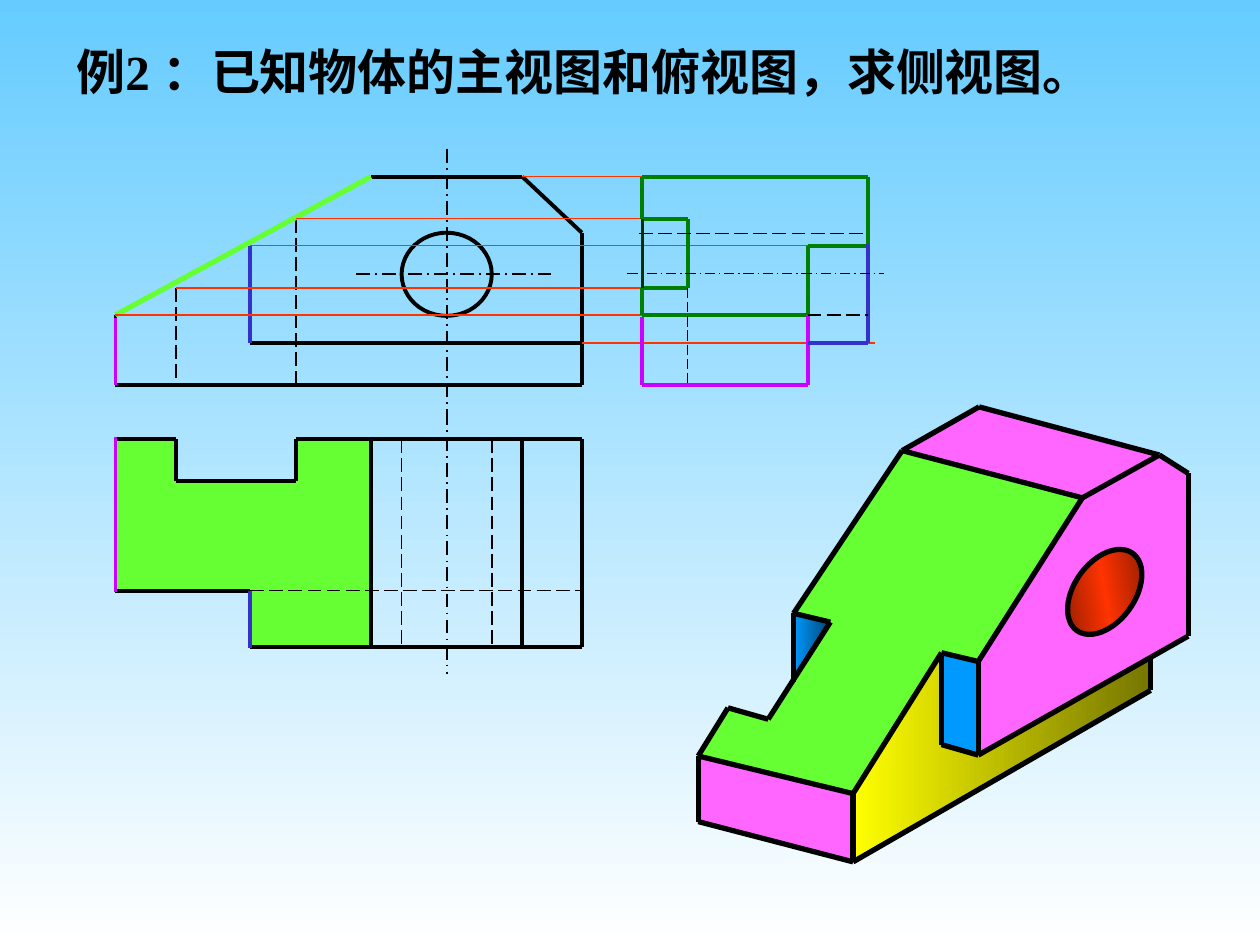
from copy import deepcopy
from dataclasses import dataclass
from itertools import pairwise
from typing import Any

from lxml.etree import SubElement
from pptx import Presentation
from pptx.dml.color import RGBColor
from pptx.enum.dml import MSO_LINE
from pptx.enum.shapes import MSO_CONNECTOR, MSO_SHAPE
from pptx.enum.text import MSO_ANCHOR, MSO_AUTO_SIZE, PP_ALIGN
from pptx.oxml.ns import qn
from pptx.util import Pt


@dataclass(frozen=True)
class Stroke:
    color: str
    width: float
    dash: Any = None


class Theme:
    font = "Times New Roman"
    title_size = 28
    ink = "000000"
    sky = ("66CCFF", "FFFFFF")
    green, pink, blue = "66FF33", "FF66FF", "0099FF"
    blue_shade = ("0099FF", "004776")
    yellow_shade = ("FFFF00", "767600")
    hole_shade = ("761800", "FF3300", "761800")
    outline = Stroke(ink, 2.25)
    solid_edge = Stroke(ink, 3)
    hidden = Stroke(ink, 1, MSO_LINE.LONG_DASH)
    thin_hidden = Stroke(ink, 0.75, MSO_LINE.LONG_DASH)
    axis = Stroke(ink, 1, MSO_LINE.LONG_DASH_DOT)
    thin_axis = Stroke(ink, 0.75, MSO_LINE.LONG_DASH_DOT)
    projection = Stroke("FF3300", 0.75)
    slope = Stroke(green, 3)
    side_outline = Stroke("008000", 2.25)
    slot_edge = Stroke("003300", 1.5)
    purple_edge = Stroke("CC00FF", 2.25)
    blue_edge = Stroke("3333CC", 2.25)


LEFT, SLOT_NEAR, STEP, SLOT_FAR, RIDGE = 0, 34.5, 77, 103, 146
HOLE_LEFT, HOLE_AXIS, HOLE_RIGHT, BEVEL, RIGHT = 163.5, 189.5, 215, 232.5, 266.5
TOP, SLOT_HIGH, BEVEL_LOW, STEP_HIGH, HOLE_LEVEL = 0, 24, 32, 39.5, 55.5
SLOT_LOW, FRONT_HIGH, STEP_LOW, BOTTOM = 63.5, 79, 95, 119
BACK, SLOT_DEPTH, BODY_DEPTH, FULL_DEPTH = 0, 24, 86.5, 118.5
SIDE_BACK, SIDE_SLOT, SIDE_BODY, SIDE_FRONT = 0, 26, 94.5, 129

VERTICES = {
    "front top left": (3, 202), "front bottom left": (3, 239.5),
    "front top right": (91.5, 223.5), "front bottom right": (91.5, 262.5),
    "slot near": (20, 174.5), "slot inner near": (43, 181),
    "slot inner far": (78.5, 125.5), "slot far": (57.5, 120.5),
    "slot bottom": (57.5, 159.5),
    "ridge left": (119.5, 27.5), "ridge right": (222.5, 54.5),
    "back left": (163.5, 2.5), "back right": (266.5, 30),
    "bevel low": (283, 40.5), "side low": (283, 133.5),
    "step top": (163, 148), "step bottom": (163, 201.5),
    "recess top": (142, 143), "recess bottom": (142, 195.5),
    "base top": (261.5, 146.5), "base bottom": (261.5, 164.5),
}
SIDE_FACE = ["ridge right", "back right", "bevel low", "side low", "step bottom", "step top"]
TOP_FACE = ["ridge left", "back left", "back right", "ridge right"]
RECESS_FACE = ["recess top", "recess bottom", "step bottom", "step top"]
SLOT_FACE = ["slot far", "slot inner far", "slot bottom"]
FRONT_FACE = ["front top left", "front bottom left", "front bottom right", "front top right"]
BASE_FACE = ["front top right", "front bottom right", "base bottom", "base top",
             "step bottom", "recess bottom", "recess top"]
SLOPE_FACE = ["ridge left", "ridge right", "step top", "recess top", "front top right",
              "front top left", "slot near", "slot inner near", "slot inner far", "slot far"]
FACES = [(SIDE_FACE, Theme.pink), (TOP_FACE, Theme.pink), (RECESS_FACE, Theme.blue),
         (SLOT_FACE, Theme.blue_shade), (FRONT_FACE, Theme.pink),
         (BASE_FACE, Theme.yellow_shade), (SLOPE_FACE, Theme.green)]
EDGES = [FRONT_FACE, SLOPE_FACE + SLOPE_FACE[:1], TOP_FACE, SIDE_FACE[1:], RECESS_FACE[:3],
         ["slot far", "slot bottom"], ["front bottom right", "base bottom", "base top"]]


def paint(fill, color, angle=0):
    if isinstance(color, str):
        fill.solid()
        fill.fore_color.rgb = RGBColor.from_string(color)
        return
    fill.gradient()
    fill.gradient_angle = (360 - angle) % 360
    stop_list = fill.gradient_stops[0]._gs.getparent()
    for _ in color[2:]:
        stop_list.append(deepcopy(stop_list[-1]))
    for index, (stop, value) in enumerate(zip(fill.gradient_stops, color)):
        stop.color.rgb = RGBColor.from_string(value)
        stop.position = index / (len(color) - 1)


def apply_stroke(line, stroke):
    line.color.rgb = RGBColor.from_string(stroke.color)
    line.width = Pt(stroke.width)
    if stroke.dash:
        line.dash_style = stroke.dash


@dataclass
class Box:
    shapes: Any
    left: float
    top: float

    def place(self, x, y):
        return Pt(self.left + x), Pt(self.top + y)

    def lines(self, stroke, *points):
        for start, end in pairwise(points):
            connector = self.shapes.add_connector(
                MSO_CONNECTOR.STRAIGHT, *self.place(*start), *self.place(*end))
            apply_stroke(connector.line, stroke)
            SubElement(connector._element.spPr, qn("a:effectLst"))

    def polygon(self, color, points):
        start, *others = [self.place(*point) for point in points]
        builder = self.shapes.build_freeform(*start)
        builder.add_line_segments(others, close=True)
        shape = builder.convert_to_shape()
        shape.shadow.inherit = False
        paint(shape.fill, color)
        shape.line.fill.background()

    def ellipse(self, stroke, x, y, width, height):
        shape = self.shapes.add_shape(
            MSO_SHAPE.OVAL, *self.place(x, y), Pt(width), Pt(height))
        shape.shadow.inherit = False
        shape.fill.background()
        apply_stroke(shape.line, stroke)
        return shape


def draw_title(title, left, top, width, height):
    title.left, title.top, title.width, title.height = map(Pt, (left, top, width, height))
    frame = title.text_frame
    frame.text = "例2 ：已知物体的主视图和俯视图，求侧视图。"
    frame.word_wrap = False
    frame.auto_size = MSO_AUTO_SIZE.NONE
    frame.vertical_anchor = MSO_ANCHOR.MIDDLE
    paragraph = frame.paragraphs[0]
    paragraph.alignment = PP_ALIGN.LEFT
    font = paragraph.font
    font.name, font.size, font.bold = Theme.font, Pt(Theme.title_size), True
    font.color.rgb = RGBColor.from_string(Theme.ink)


def draw_front_view(box):
    box.lines(Theme.outline, (RIDGE, TOP), (BEVEL, TOP), (RIGHT, BEVEL_LOW),
              (RIGHT, BOTTOM), (LEFT, BOTTOM), (LEFT, FRONT_HIGH))
    box.lines(Theme.outline, (STEP, STEP_LOW), (RIGHT, STEP_LOW))
    box.ellipse(Theme.outline, HOLE_LEFT, BEVEL_LOW, HOLE_RIGHT - HOLE_LEFT, 47.5)
    box.lines(Theme.axis, (HOLE_AXIS, -16), (HOLE_AXIS, 142.5))
    box.lines(Theme.axis, (137.5, HOLE_LEVEL), (249, HOLE_LEVEL))
    box.lines(Theme.hidden, (SLOT_FAR, SLOT_HIGH), (SLOT_FAR, BOTTOM))
    box.lines(Theme.hidden, (SLOT_NEAR, SLOT_LOW), (SLOT_NEAR, BOTTOM))
    box.lines(Theme.slope, (RIDGE, TOP), (LEFT, FRONT_HIGH))
    box.lines(Theme.blue_edge, (STEP, STEP_HIGH), (STEP, STEP_LOW))
    box.lines(Theme.purple_edge, (LEFT, FRONT_HIGH + 2), (LEFT, BOTTOM))


def draw_top_view(box):
    slot = [(LEFT, BACK), (SLOT_NEAR, BACK), (SLOT_NEAR, SLOT_DEPTH),
            (SLOT_FAR, SLOT_DEPTH), (SLOT_FAR, BACK)]
    step = [(STEP, FULL_DEPTH), (STEP, BODY_DEPTH), (LEFT, BODY_DEPTH)]
    box.polygon(Theme.green, slot + [(RIDGE, BACK), (RIDGE, FULL_DEPTH)] + step)
    box.lines(Theme.outline, *slot, (RIGHT, BACK), (RIGHT, FULL_DEPTH), *step)
    for x, stroke in ((RIDGE, Theme.outline), (BEVEL, Theme.outline),
                      (HOLE_LEFT, Theme.hidden), (HOLE_RIGHT, Theme.hidden)):
        box.lines(stroke, (x, BACK), (x, FULL_DEPTH))
    box.lines(Theme.hidden, (STEP, BODY_DEPTH), (RIGHT, BODY_DEPTH))
    box.lines(Theme.axis, (HOLE_AXIS, -16), (HOLE_AXIS, 134))
    box.lines(Theme.blue_edge, (STEP, BODY_DEPTH), (STEP, FULL_DEPTH + 1))
    box.lines(Theme.purple_edge, (LEFT, BACK - 1), (LEFT, BODY_DEPTH + 1))


def draw_projections(box, side_offset):
    for start, end, y in ((BEVEL, SIDE_FRONT, TOP), (SLOT_FAR, SIDE_SLOT, SLOT_HIGH),
                          (STEP, SIDE_FRONT, STEP_HIGH), (SLOT_NEAR, SIDE_SLOT, SLOT_LOW),
                          (LEFT, SIDE_BODY, FRONT_HIGH), (RIGHT, SIDE_FRONT + 4, STEP_LOW)):
        box.lines(Theme.projection, (start, y), (side_offset + end, y))


def draw_side_view(box):
    box.lines(Theme.side_outline, (SIDE_FRONT, STEP_HIGH), (SIDE_FRONT, TOP),
              (SIDE_BACK, TOP), (SIDE_BACK, SLOT_HIGH), (SIDE_SLOT, SLOT_HIGH),
              (SIDE_SLOT, SLOT_LOW), (SIDE_BACK, SLOT_LOW), (SIDE_BACK, FRONT_HIGH),
              (SIDE_BODY, FRONT_HIGH), (SIDE_BODY, STEP_HIGH), (SIDE_FRONT, STEP_HIGH))
    box.lines(Theme.purple_edge, (SIDE_BACK, FRONT_HIGH + 1), (SIDE_BACK, BOTTOM),
              (SIDE_BODY, BOTTOM), (SIDE_BODY, FRONT_HIGH))
    box.lines(Theme.blue_edge, (SIDE_FRONT, STEP_HIGH - 1), (SIDE_FRONT, STEP_LOW),
              (SIDE_BODY, STEP_LOW))
    box.lines(Theme.thin_hidden, (SIDE_SLOT, SLOT_LOW), (SIDE_SLOT, BOTTOM))
    box.lines(Theme.hidden, (-2, BEVEL_LOW + 0.5), (127, BEVEL_LOW + 0.5))
    box.lines(Theme.hidden, (SIDE_BODY, FRONT_HIGH), (SIDE_FRONT, FRONT_HIGH))
    box.lines(Theme.thin_axis, (-8.5, HOLE_LEVEL), (138, HOLE_LEVEL))
    box.lines(Theme.slot_edge, (SIDE_BACK, SLOT_HIGH), (SIDE_BACK, SLOT_LOW))


def draw_solid(box):
    for face, color in FACES:
        box.polygon(color, [VERTICES[name] for name in face])
    for edge in EDGES:
        box.lines(Theme.solid_edge, *(VERTICES[name] for name in edge))
    hole = box.ellipse(Theme.solid_edge, 218, 81, 34.5, 54.5)
    hole.rotation = 35.9
    paint(hole.fill, Theme.hole_shade, 315)


def main():
    presentation = Presentation()
    presentation.slide_width, presentation.slide_height = Pt(720), Pt(540)
    slide = presentation.slides.add_slide(presentation.slide_layouts[5])
    paint(slide.background.fill, Theme.sky, 90)
    draw_title(slide.shapes.title, 36.5, 20, 608, 41)
    front = Box(slide.shapes, 66, 101)
    side = Box(slide.shapes, 367, front.top)
    draw_front_view(front)
    draw_top_view(Box(slide.shapes, front.left, 251))
    draw_projections(front, side.left - front.left)
    draw_side_view(side)
    draw_solid(Box(slide.shapes, 396, 230))
    presentation.save("out.pptx")


if __name__ == "__main__":
    main()
